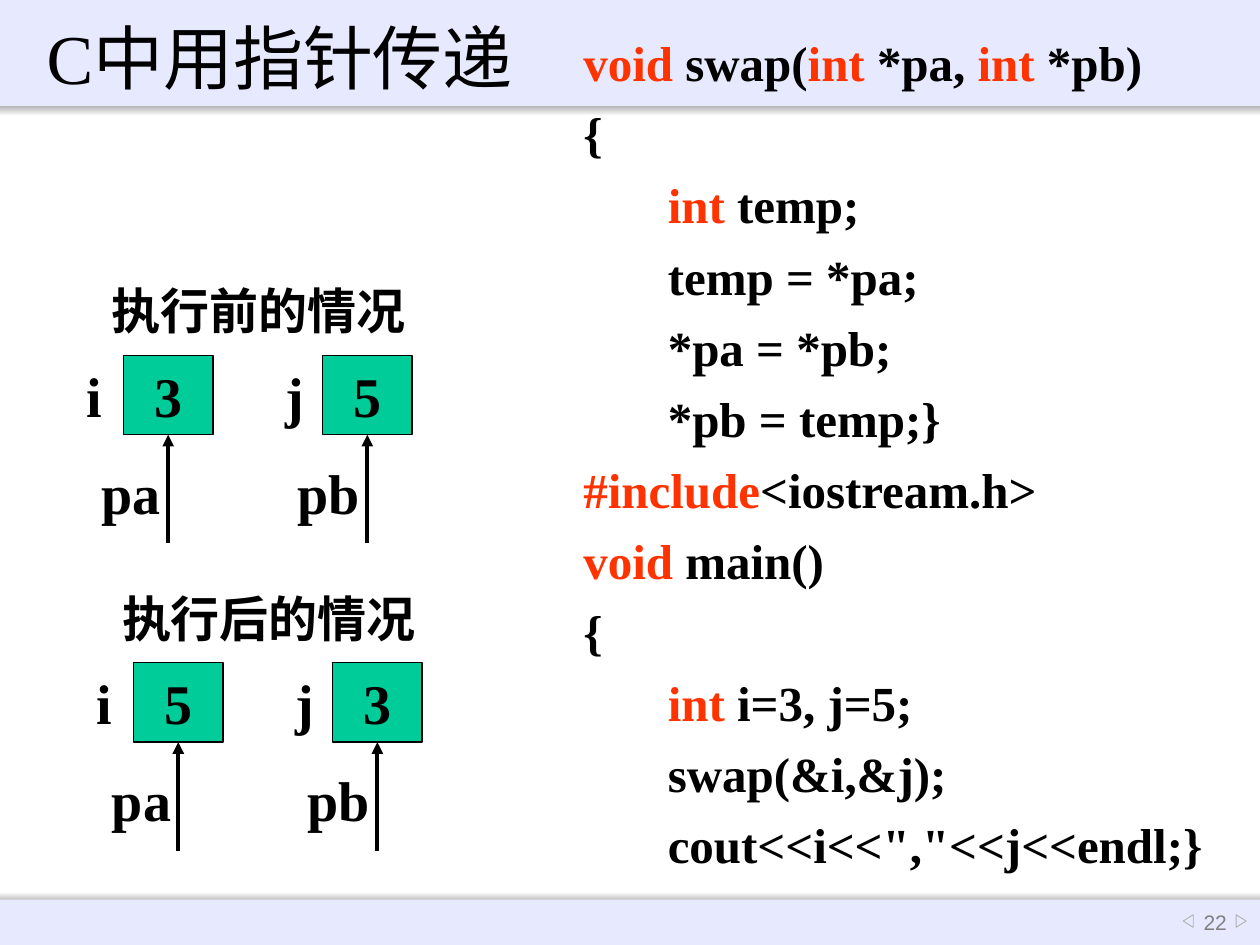
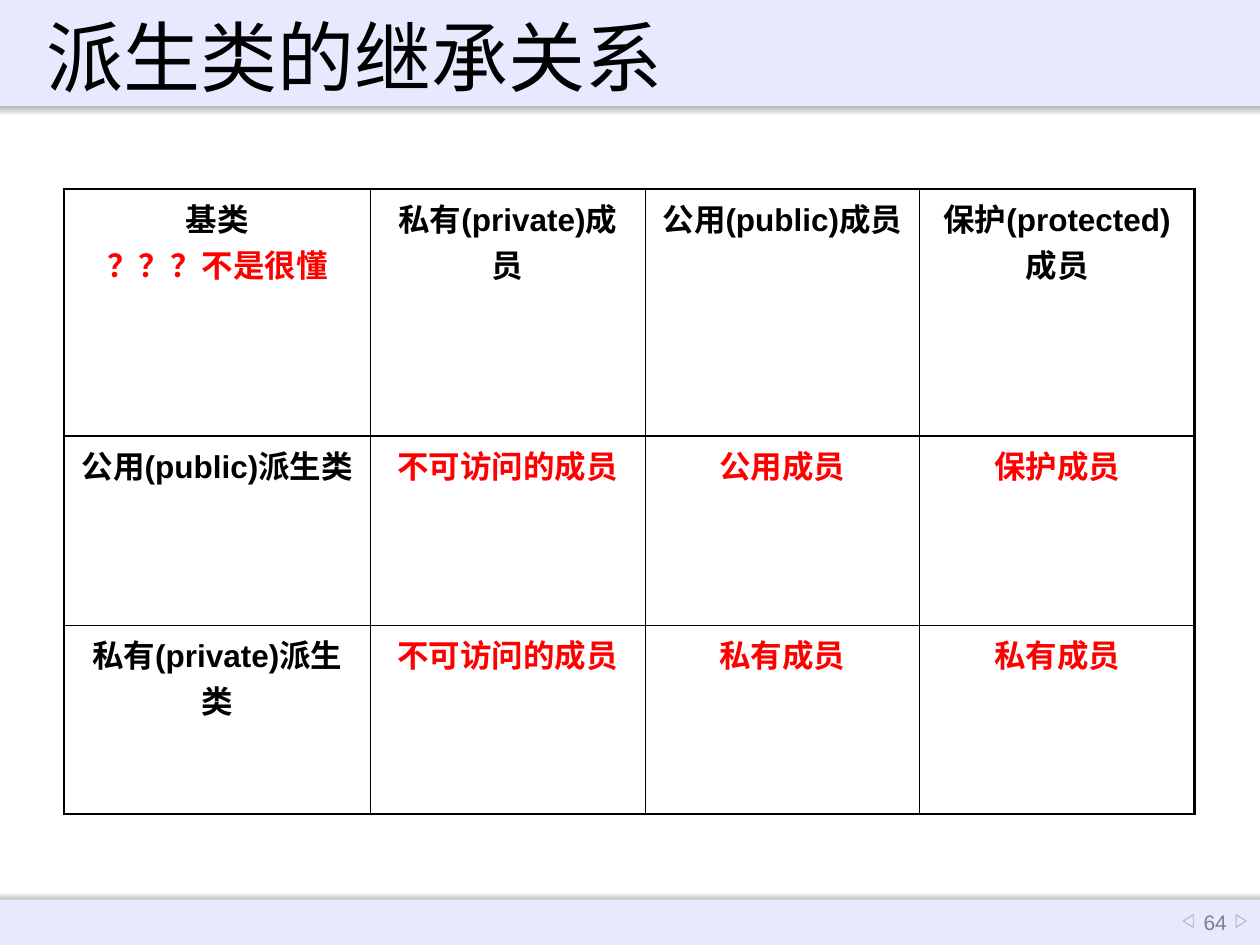
from lxml.etree import SubElement
from pptx import Presentation
from pptx.dml.color import RGBColor
from pptx.enum.shapes import MSO_CONNECTOR, MSO_SHAPE
from pptx.enum.text import MSO_ANCHOR, MSO_AUTO_SIZE, PP_ALIGN
from pptx.oxml import parse_xml
from pptx.oxml.ns import nsdecls, qn
from pptx.util import Inches, Pt

BLACK = RGBColor(0, 0, 0)
WHITE = RGBColor(255, 255, 255)
BAND = RGBColor(0xE7, 0xE9, 0xFF)
SHADE = RGBColor(0xB2, 0xB2, 0xB2)
GRAY = RGBColor(0x80, 0x80, 0x80)
GREEN = RGBColor(0, 0xCC, 0x99)
ORANGE = RGBColor(0xFF, 0x33, 0)
RED = RGBColor(0xFF, 0, 0)
SERIF, SANS = "Times New Roman", "Arial"

CODE = [
    "|void| swap(|int |*pa, |int| *pb)",
    "{",
    "\t|int| temp;",
    "\ttemp = *pa;",
    "\t*pa = *pb;",
    "\t*pb = temp;}",
    "|#include|<iostream.h>",
    "|void| main()",
    "{",
    "\t|int |i=3, j=5;",
    "\tswap(&i,&j);",
    '\tcout<<i<<","<<j<<endl;}',
]
STATES = [
    ("执行前的情况", "3", "5", 0.59, 2.18),
    ("执行后的情况", "5", "3", 0.67, 4.62),
]
VARS = [("i", 0.35, "pa", 0.12), ("j", 0.38, "pb", 0.09)]
STEP = 1.58
ROWS = [
    ["基类\n|？？？不是很懂", "私有(private)成员", "公用(public)成员", "保护(protected)成员"],
    ["公用(public)派生类", "|不可访问的成员", "|公用成员", "|保护成员"],
    ["私有(private)派生类", "|不可访问的成员", "|私有成员", "|私有成员"],
]
WIDTHS = [2.43, 2.18, 2.18, 2.18]
HEIGHTS = [1.96, 1.5, 1.5]
THICK, THIN = 1.5, 0.45


def write(frame, lines, size=32, font=SERIF, bold=True, color=BLACK, hot=RED,
          align=PP_ALIGN.LEFT, gap=0, hang=0):
    for row, line in enumerate(lines):
        para = frame.add_paragraph() if row else frame.paragraphs[0]
        para.alignment = align
        para.space_before = Pt(gap if row else 0)
        if hang:
            props = para._p.get_or_add_pPr()
            props.set("marL", str(Inches(hang)))
            props.set("indent", str(-Inches(hang)))
            SubElement(props, qn("a:buNone"))
        for turn, part in enumerate(line.split("|")):
            if part:
                run = para.add_run()
                run.text = part
                run.font.size, run.font.name, run.font.bold = Pt(size), font, bold
                run.font.color.rgb = hot if turn % 2 else color


def place(shape, left, top, width, height):
    shape.left, shape.top = Inches(left), Inches(top)
    shape.width, shape.height = Inches(width), Inches(height)


def draw(shapes, kind, left, top, width, height, fill=None, line=None, weight=0.75):
    shape = shapes.add_shape(kind, *map(Inches, (left, top, width, height)))
    shape.shadow.inherit = False
    if fill is None:
        shape.fill.background()
    else:
        shape.fill.solid()
        shape.fill.fore_color.rgb = fill
    if line is None:
        shape.line.fill.background()
    else:
        shape.line.color.rgb = line
        shape.line.width = Pt(weight)
    return shape


def label(shapes, text, left, top, width, height, wrap=False, **style):
    box = shapes.add_textbox(*map(Inches, (left, top, width, height)))
    box.text_frame.word_wrap = wrap
    write(box.text_frame, [text], **style)
    return box


def frame_master(deck, slide):
    parts = []
    for top, angle in ((7.08, 90), (0.84, 270)):
        glow = draw(slide.shapes, MSO_SHAPE.RECTANGLE, 0, top, 10, 0.08)
        glow.fill.gradient()
        glow.fill.gradient_angle = angle
        for stop, color in zip(glow.fill.gradient_stops, (SHADE, WHITE)):
            stop.color.rgb = color
            stop.position = float(color == WHITE)
        parts.append(glow)
    for top, height in ((7.14, 0.36), (0, 0.84)):
        parts.append(draw(slide.shapes, MSO_SHAPE.RECTANGLE, 0, top, 10, height, BAND))
    for left, turn in ((9.8, 90), (9.38, 270)):
        mark = draw(slide.shapes, MSO_SHAPE.ISOSCELES_TRIANGLE, left, 7.27, 0.1, 0.08,
                    line=SHADE, weight=0.5)
        mark.rotation = turn
        parts.append(mark)
    tree = deck.slide_master.element.cSld.spTree
    for num, part in enumerate(parts, 100):
        part.element.nvSpPr.cNvPr.set("id", str(num))
        tree.append(part.element)


def start(slide, title, size, page):
    place(slide.shapes.title, 0.27, 0.13, 8.51, 0.63)
    frame = slide.shapes.title.text_frame
    frame.auto_size = MSO_AUTO_SIZE.NONE
    frame.vertical_anchor = MSO_ANCHOR.MIDDLE
    write(frame, [title], size=size, bold=False)
    box = label(slide.shapes, page, 9.33, 7.14, 0.63, 0.36, wrap=True, size=12,
                font=SANS, bold=False, color=GRAY, align=PP_ALIGN.CENTER)
    frame = box.text_frame
    frame.vertical_anchor = MSO_ANCHOR.MIDDLE
    frame.margin_left = frame.margin_right = frame.margin_top = frame.margin_bottom = 0


def arrow(shapes, cell, drop):
    mid = cell.left + cell.width // 2
    base = cell.top + cell.height
    link = shapes.add_connector(MSO_CONNECTOR.STRAIGHT, mid, base + Inches(drop), mid, base)
    link.end_connect(cell, 2)
    link.line.color.rgb = BLACK
    link.line.width = Pt(2.25)
    SubElement(link.line._get_or_add_ln(), qn("a:tailEnd"), type="triangle")
    SubElement(link.element.spPr, qn("a:effectLst"))


def state(slide, head, first, second, left, top):
    shapes = slide.shapes.add_group_shape().shapes
    label(shapes, head, left + 0.2, top, 2.72, 0.57, wrap=True, size=28)
    for col, value in enumerate((first, second)):
        name, wide, ref, shift = VARS[col]
        x, y = left + col * STEP, top + 0.64
        cell = draw(shapes, MSO_SHAPE.FLOWCHART_PROCESS, x + 0.39, y, 0.71, 0.63, GREEN, BLACK)
        cell.text_frame.word_wrap = False
        cell.text_frame.vertical_anchor = MSO_ANCHOR.MIDDLE
        write(cell.text_frame, [value], align=PP_ALIGN.CENTER)
        label(shapes, name, x, y, wide, 0.64)
        label(shapes, ref, x + shift, y + 0.77, 0.8, 0.64)
        arrow(shapes, cell, 0.86)


def border(cell, **sides):
    props = cell._tc.get_or_add_tcPr()
    for spot, (side, weight) in enumerate(sides.items()):
        props.insert(spot, parse_xml(
            f'<a:ln{side} {nsdecls("a")} w="{Pt(weight)}"><a:solidFill>'
            f'<a:srgbClr val="{BLACK}"/></a:solidFill></a:ln{side}>'))


def grid(slide):
    area = map(Inches, (0.51, 1.5, sum(WIDTHS), sum(HEIGHTS)))
    table = slide.shapes.add_table(len(ROWS), len(WIDTHS), *area).table
    table.first_row = table.horz_banding = False
    for col, width in zip(table.columns, WIDTHS):
        col.width = Inches(width)
    for row, height in zip(table.rows, HEIGHTS):
        row.height = Inches(height)
    for r, texts in enumerate(ROWS):
        for c, text in enumerate(texts):
            cell = table.cell(r, c)
            cell.fill.background()
            write(cell.text_frame, text.split("\n"), size=18, font=SANS,
                  align=PP_ALIGN.CENTER)
            border(cell,
                   L=THIN if c else THICK,
                   R=THICK if c == len(WIDTHS) - 1 else THIN,
                   T=THICK if r < 2 else THIN,
                   B=THIN if r == 1 else THICK)


def main():
    deck = Presentation()
    deck.slide_width, deck.slide_height = Inches(10), Inches(7.5)

    swap = deck.slides.add_slide(deck.slide_layouts[1])
    frame_master(deck, swap)
    start(swap, "C中用指针传递", 40, "22")
    body = swap.placeholders[1]
    place(body, 4.53, 0.21, 5.28, 6.77)
    body.text_frame.auto_size = MSO_AUTO_SIZE.NONE
    write(body.text_frame, CODE, size=28, hot=ORANGE, gap=7, hang=0.67)
    for item in STATES:
        state(swap, *item)

    derive = deck.slides.add_slide(deck.slide_layouts[5])
    start(derive, "派生类的继承关系", 44, "64")
    grid(derive)
    deck.save("out.pptx")


if __name__ == "__main__":
    main()
